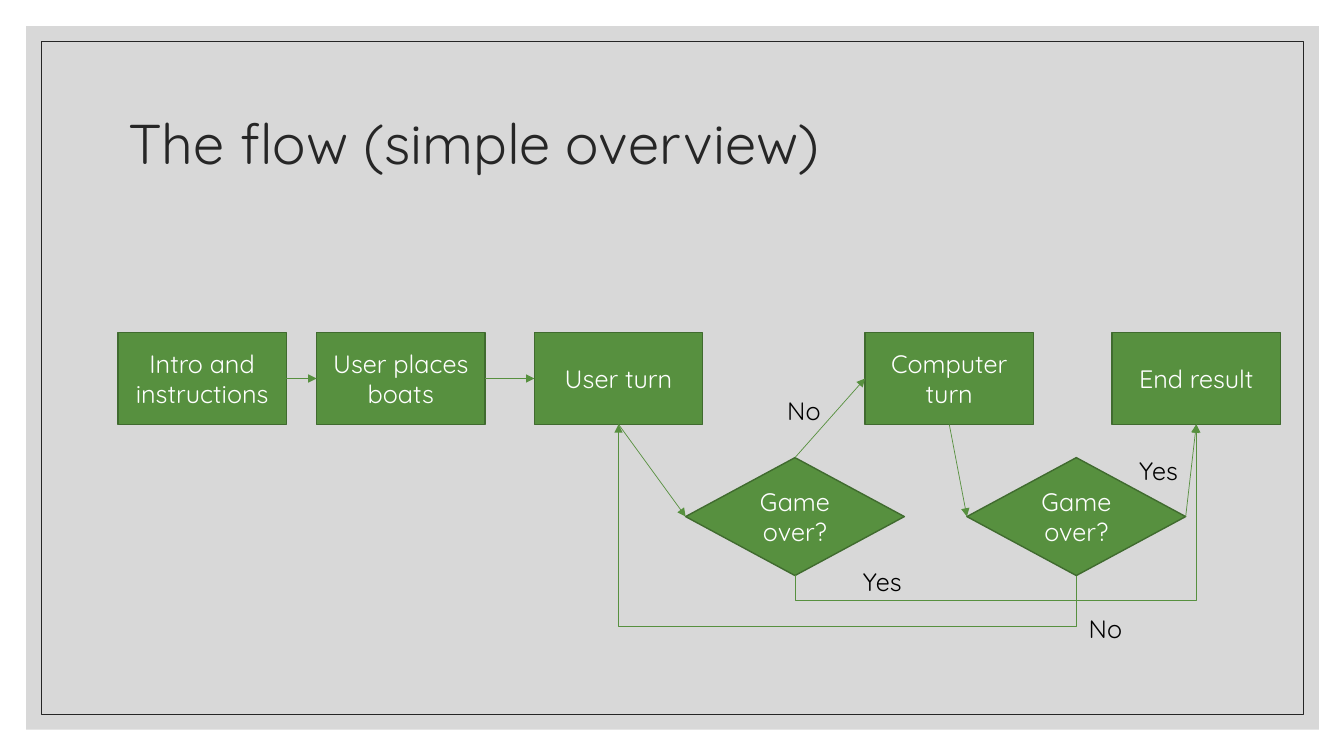
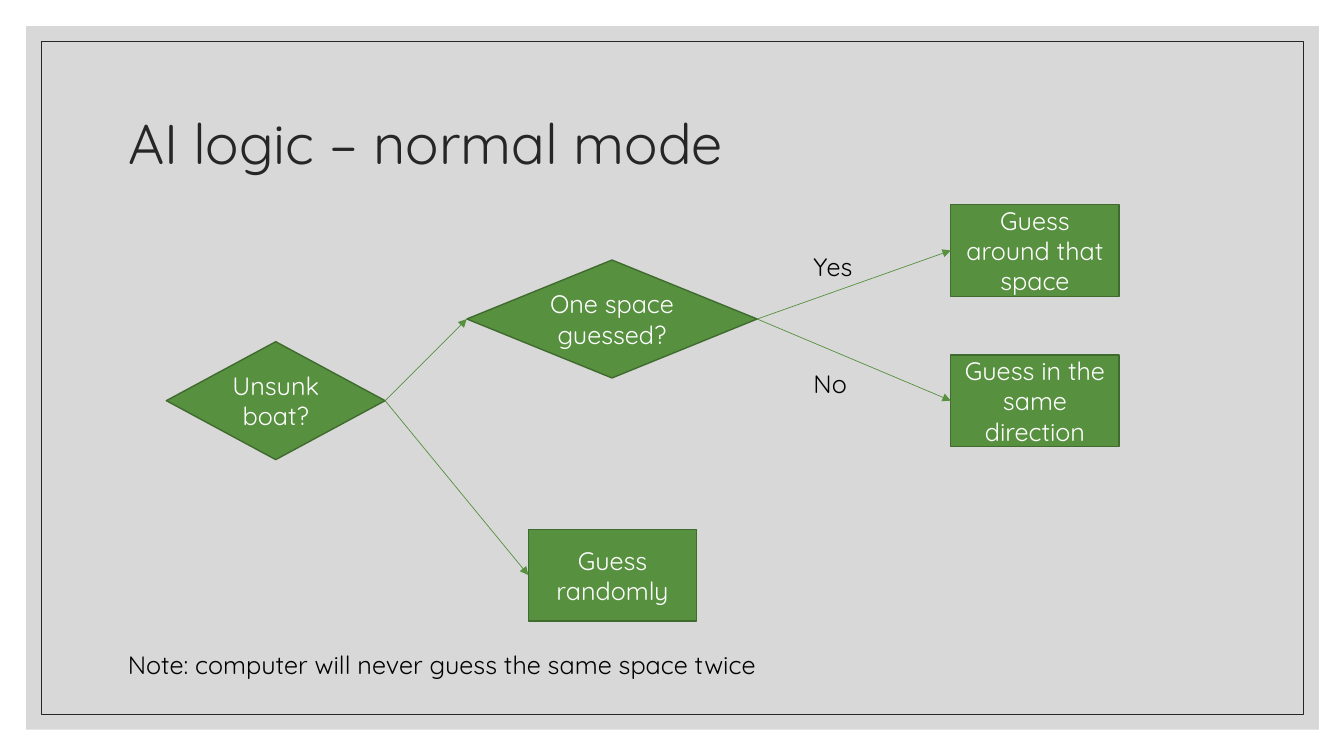
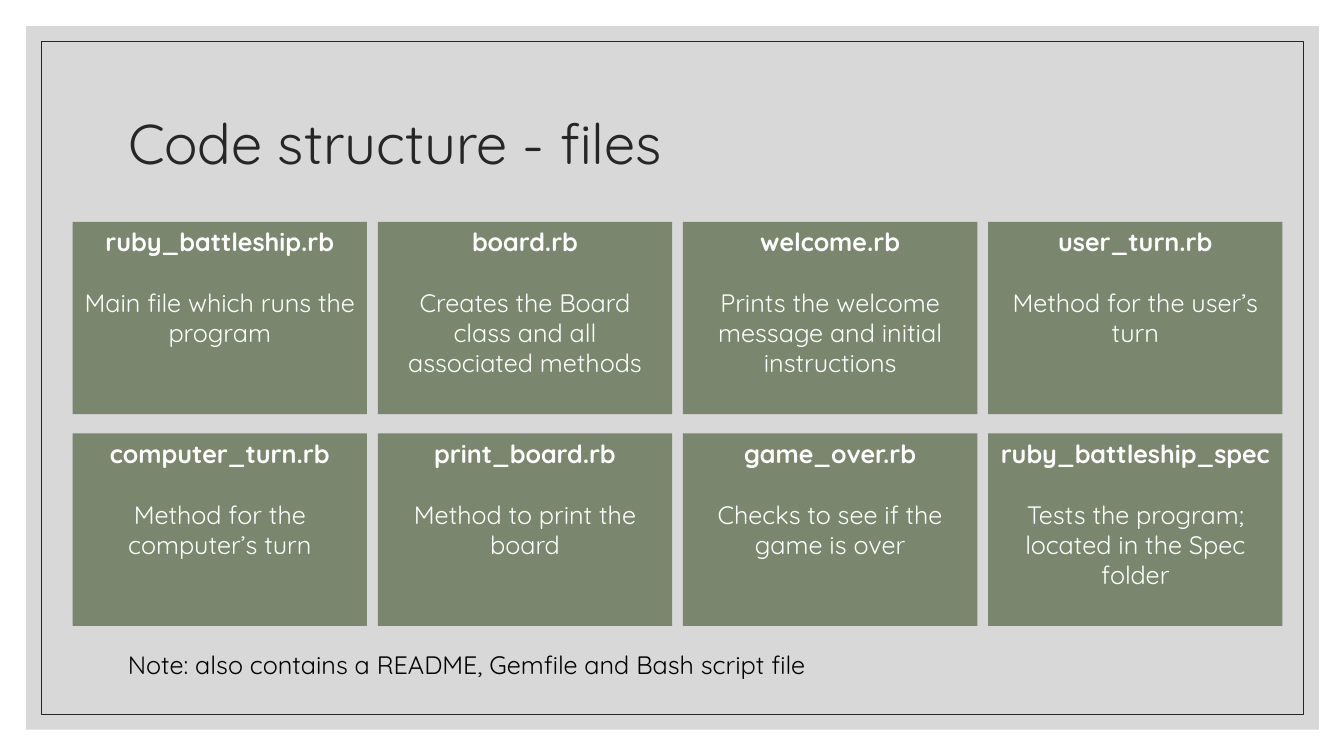
from pptx import Presentation
from pptx.dml.color import RGBColor
from pptx.enum.shapes import MSO_CONNECTOR, MSO_SHAPE
from pptx.enum.text import MSO_ANCHOR, MSO_AUTO_SIZE, PP_ALIGN
from pptx.oxml.ns import qn
from pptx.util import Pt
from lxml import etree

PX = 9144  # 100 px to the inch
RECT, DIAMOND = MSO_SHAPE.RECTANGLE, MSO_SHAPE.DIAMOND
STRAIGHT, ELBOW = MSO_CONNECTOR.STRAIGHT, MSO_CONNECTOR.ELBOW
LEFT_ALIGN, CENTER = PP_ALIGN.LEFT, PP_ALIGN.CENTER
TOP, MIDDLE = MSO_ANCHOR.TOP, MSO_ANCHOR.MIDDLE
NO_FIT, GROW = MSO_AUTO_SIZE.NONE, MSO_AUTO_SIZE.SHAPE_TO_FIT_TEXT
NORTH, WEST, SOUTH, EAST = range(4)  # connection sites

# Shared style
FONT = "Quicksand"
GREEN, DARK_GREEN, SAGE = "57903F", "406B2F", "7A876E"
INK, GRAY, WHITE, BLACK = "262626", "BFBFBF", "FFFFFF", "000000"
TITLE_AREA = (117, 70, 1100, 150)
PANEL_AREA = (26, 26, 1282, 698)
BORDER_AREA = (41, 41, 1252, 668)
STEP_SIZE, CHOICE_SIZE, WIDE_CHOICE_SIZE = (167, 91), (217, 117), (288, 117)
LABEL_SIZE, NOTE_AREA = (100, 40), (117, 639, 744, 40)

# Flow charts: nodes are name: (text, preset, left, top, size);
# links are (from, site, to, site, drop below the start, 0 when straight)
FLOW = {
    "title": "The flow (simple overview)",
    "nodes": {
        "intro": ("Intro and instructions", RECT, 117, 330, STEP_SIZE),
        "boats": ("User places boats", RECT, 314, 330, STEP_SIZE),
        "user": ("User turn", RECT, 530, 330, STEP_SIZE),
        "computer": ("Computer turn", RECT, 858, 330, STEP_SIZE),
        "end": ("End result", RECT, 1103, 330, STEP_SIZE),
        "user over": ("Game over?", DIAMOND, 680, 454, CHOICE_SIZE),
        "computer over": ("Game over?", DIAMOND, 959, 454, CHOICE_SIZE),
    },
    "links": [
        ("intro", EAST, "boats", WEST, 0),
        ("boats", EAST, "user", WEST, 0),
        ("user", SOUTH, "user over", WEST, 0),
        ("user over", NORTH, "computer", WEST, 0),
        ("computer over", EAST, "end", SOUTH, 0),
        ("computer", SOUTH, "computer over", WEST, 0),
        ("user over", SOUTH, "end", SOUTH, 25),
        ("computer over", SOUTH, "user", SOUTH, 50),
    ],
    "labels": [("Yes", 846, 557), ("Yes", 1120, 447),
               ("No", 1070, 604), ("No", 771, 387)],
}
LOGIC = {
    "title": "AI logic – normal mode",
    "nodes": {
        "around": ("Guess around that space", RECT, 943, 203, STEP_SIZE),
        "unsunk": ("Unsunk boat?", DIAMOND, 165, 339, CHOICE_SIZE),
        "one space": ("One space guessed?", DIAMOND, 463, 258, WIDE_CHOICE_SIZE),
        "direction": ("Guess in the same direction", RECT, 943, 352, STEP_SIZE),
        "random": ("Guess randomly", RECT, 524, 525, STEP_SIZE),
    },
    "links": [
        ("unsunk", EAST, "one space", WEST, 0),
        ("unsunk", EAST, "random", WEST, 0),
        ("one space", EAST, "around", WEST, 0),
        ("one space", EAST, "direction", WEST, 0),
    ],
    "labels": [("Yes", 797, 244), ("No", 797, 360)],
    "note": "Note: computer will never guess the same space twice",
}
FILES_TITLE = "Code structure - files"
FILES_NOTE = "Note: also contains a README, Gemfile and Bash script file"
FILES = [
    [("ruby_battleship.rb", "Main file which runs the program"),
     ("board.rb", "Creates the Board class and all associated methods"),
     ("welcome.rb", "Prints the welcome message and initial instructions"),
     ("user_turn.rb", "Method for the user’s turn")],
    [("computer_turn.rb", "Method for the computer’s turn"),
     ("print_board.rb", "Method to print the board"),
     ("game_over.rb", "Checks to see if the game is over"),
     ("ruby_battleship_spec", "Tests the program; located in the Spec folder")],
]
GRID_LEFT, GRID_RIGHT, GRID_TOP = 72, 1272, 220
CARD_WIDTH, CARD_HEIGHT, ROW_PITCH = 292, 191, 210


def rgb(color):
    return RGBColor.from_string(color)


def emu(*lengths):
    return [round(length * PX) for length in lengths]


def write(frame, lines, color, size=18, align=LEFT_ALIGN, anchor=TOP):
    frame.text = "\n".join(lines)
    frame.word_wrap = True
    frame.vertical_anchor = anchor
    for para in frame.paragraphs:
        para.alignment = align
        for span in para.runs:
            span.font.name, span.font.size = FONT, Pt(size)
            span.font.color.rgb = rgb(color)


def add_box(slide, preset, area, fill=None, line=None, width=1):
    box = slide.shapes.add_shape(preset, *emu(*area))
    box.shadow.inherit = False
    if fill:
        box.fill.solid()
        box.fill.fore_color.rgb = rgb(fill)
    else:
        box.fill.background()
    if line:
        box.line.color.rgb = rgb(line)
        box.line.width = Pt(width)
    else:
        box.line.fill.background()
    return box


def add_text(slide, text, area):
    box = slide.shapes.add_textbox(*emu(*area))
    write(box.text_frame, [text], BLACK)
    box.text_frame.auto_size = GROW


def bend_below(link, drop):
    """Route an elbow link below its start and up to its end."""
    start_x, start_y, end_x, end_y = link.begin_x, link.begin_y, link.end_x, link.end_y
    rise, run = start_y - end_y, abs(end_x - start_x)
    link.left = (start_x + end_x - rise) // 2
    link.top = (start_y + end_y - run) // 2
    link.width, link.height = rise, run
    transform = link.element.spPr.find(qn("a:xfrm"))
    transform.set("rot", "5400000")
    transform.set("flipH", "1")
    transform.set("flipV", "1" if end_x > start_x else "0")
    guides = link.element.spPr.find(qn("a:prstGeom")).find(qn("a:avLst"))
    share = round(-100000 * drop * PX / rise)
    etree.SubElement(guides, qn("a:gd"), name="adj1", fmla=f"val {share}")


def add_link(slide, start, start_site, end, end_site, drop):
    link = slide.shapes.add_connector(ELBOW if drop else STRAIGHT, 0, 0, 0, 0)
    link.begin_connect(start, start_site)
    link.end_connect(end, end_site)
    if drop:
        bend_below(link, drop)
    link.line.color.rgb = rgb(GREEN)
    link.line.width = Pt(0.5)
    properties = link.element.spPr
    etree.SubElement(properties.find(qn("a:ln")), qn("a:tailEnd"), type="triangle")
    etree.SubElement(properties, qn("a:effectLst"))


def style_layout(layout, slide):
    """Give the layout its title area, panel and border."""
    title = layout.placeholders[0]
    title.left, title.top, title.width, title.height = emu(*TITLE_AREA)
    title.text_frame.auto_size = NO_FIT
    panel = add_box(slide, RECT, PANEL_AREA, GRAY)
    tint = panel.element.spPr.find(qn("a:solidFill"))[0]
    etree.SubElement(tint, qn("a:alpha"), val="60000")
    border = add_box(slide, RECT, BORDER_AREA, line=INK, width=0.5)
    for position, box in enumerate((panel, border)):
        box.element.nvSpPr.cNvPr.set("id", str(20 + position))
        layout.shapes.element.insert(2 + position, box.element)


def set_title(slide, text):
    frame = slide.shapes.title.text_frame
    write(frame, [text], INK, size=40, anchor=MIDDLE)
    frame.paragraphs[0].line_spacing = 0.9


def build_chart(slide, chart):
    set_title(slide, chart["title"])
    nodes = {}
    for name, (text, preset, left, top, size) in chart["nodes"].items():
        nodes[name] = add_box(slide, preset, (left, top, *size), GREEN, DARK_GREEN)
        write(nodes[name].text_frame, [text], WHITE, align=CENTER, anchor=MIDDLE)
    for start, start_site, end, end_site, drop in chart["links"]:
        add_link(slide, nodes[start], start_site, nodes[end], end_site, drop)
    for text, left, top in chart["labels"]:
        add_text(slide, text, (left, top, *LABEL_SIZE))
    if "note" in chart:
        add_text(slide, chart["note"], NOTE_AREA)


def build_files(slide):
    set_title(slide, FILES_TITLE)
    add_text(slide, FILES_NOTE, NOTE_AREA)
    pitch = (GRID_RIGHT - GRID_LEFT - CARD_WIDTH) / (len(FILES[0]) - 1)
    for row, cards in enumerate(FILES):
        for column, lines in enumerate(cards):
            area = (GRID_LEFT + column * pitch, GRID_TOP + row * ROW_PITCH,
                    CARD_WIDTH, CARD_HEIGHT)
            card = add_box(slide, RECT, area, SAGE)
            write(card.text_frame, lines, WHITE, align=CENTER)
            heading = card.text_frame.paragraphs[0]
            heading.space_after = Pt(21.6)
            heading.runs[0].font.bold = True


def main():
    deck = Presentation()
    deck.slide_width, deck.slide_height = emu(1333, 750)
    layout = deck.slide_layouts[5]
    flow, logic, files = [deck.slides.add_slide(layout) for _ in range(3)]
    style_layout(layout, flow)
    build_chart(flow, FLOW)
    build_chart(logic, LOGIC)
    build_files(files)
    deck.save("out.pptx")


if __name__ == "__main__":
    main()
